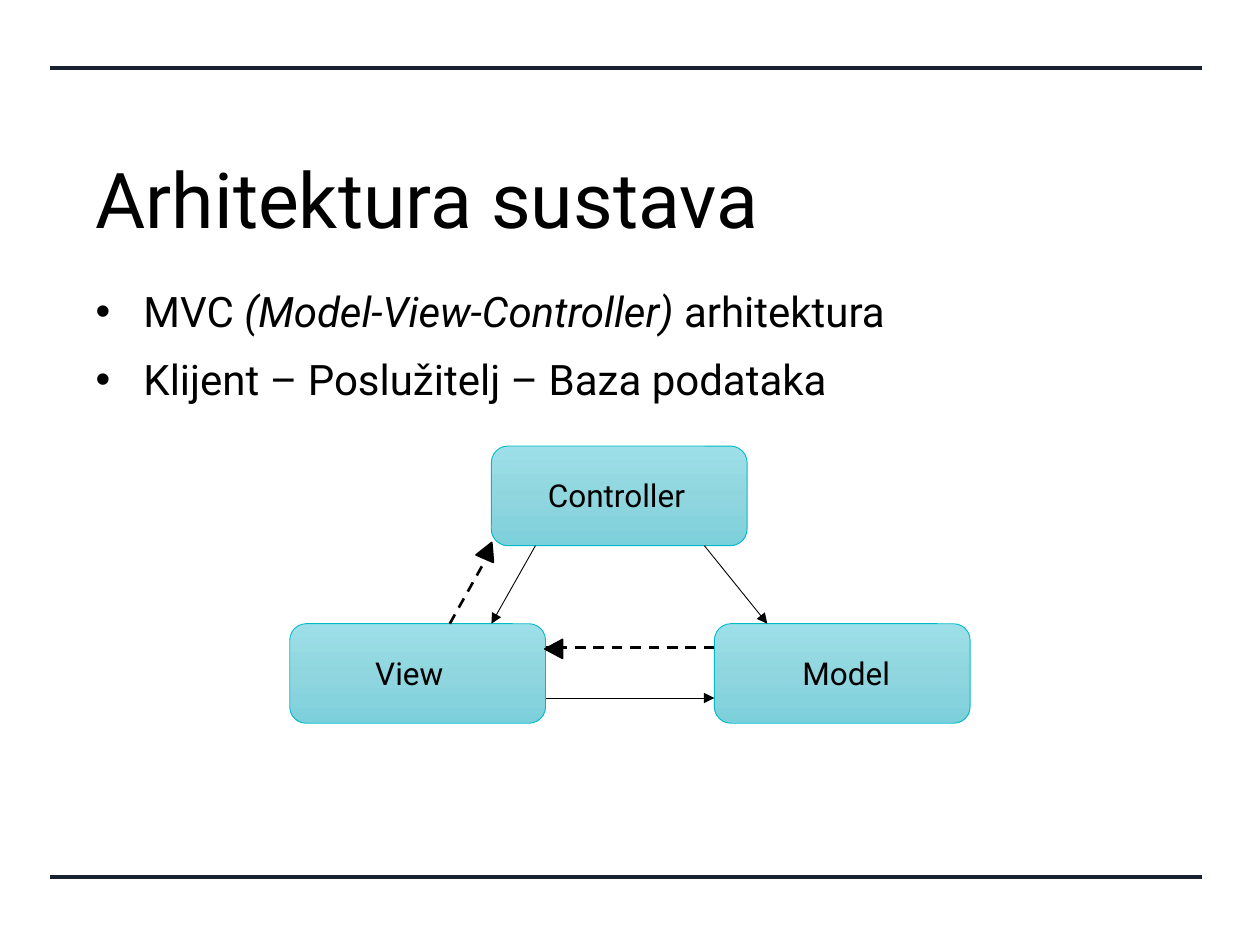
from copy import deepcopy
from lxml.etree import SubElement
from pptx import Presentation
from pptx.dml.color import RGBColor
from pptx.enum.dml import MSO_LINE
from pptx.enum.shapes import MSO_CONNECTOR, MSO_SHAPE
from pptx.enum.text import MSO_ANCHOR, PP_ALIGN
from pptx.oxml.ns import qn
from pptx.util import Inches, Pt

BLACK = RGBColor(0x00, 0x00, 0x00)
NAVY = RGBColor(0x18, 0x22, 0x30)
TEAL = RGBColor(0x00, 0xBA, 0xC8)
SHADES = [
    RGBColor(0x9D, 0xDF, 0xE8),
    RGBColor(0x90, 0xD6, 0xDF),
    RGBColor(0x7C, 0xD0, 0xDB),
]
FONT = "Roboto"
BOX_W, BOX_H = 2.03, 0.79
TOP_Y, LOW_Y = 3.54, 4.95
VIEW_X, CTRL_X, MODEL_X = 2.3, 3.9, 5.67


def write(para, text, size=18, italic=False):
    run = para.add_run()
    run.text = text
    font = run.font
    font.name = FONT
    font.size = Pt(size)
    font.italic = italic
    font.color.rgb = BLACK


def add_title(slide, text):
    title = slide.shapes.title
    title.left, title.top = Inches(0.66), Inches(1.07)
    title.width, title.height = Inches(8.69), Inches(1)
    title.text_frame.vertical_anchor = MSO_ANCHOR.MIDDLE
    para = title.text_frame.paragraphs[0]
    para.alignment = PP_ALIGN.LEFT
    write(para, text, size=44)


def add_text(slide, x, y, w, h):
    box = slide.shapes.add_textbox(Inches(x), Inches(y), Inches(w), Inches(h))
    box.text_frame.word_wrap = True
    return box.text_frame


def add_list(slide, items):
    frame = add_text(slide, 0.66, 2.22, 8.69, 4.21)
    for i, runs in enumerate(items):
        para = frame.add_paragraph() if i else frame.paragraphs[0]
        para.space_before = Pt(10)
        props = para._p.get_or_add_pPr()
        props.set("marL", str(Inches(0.38)))
        props.set("indent", str(-Inches(0.38)))
        SubElement(props, qn("a:buFont"), typeface="Arial")
        SubElement(props, qn("a:buChar"), char="•")
        for text, italic in runs:
            write(para, text, size=24, italic=italic)


def add_shape(slide, kind, x, y, w, h, color, width):
    shape = slide.shapes.add_shape(
        kind, Inches(x), Inches(y), Inches(w), Inches(h))
    shape.shadow.inherit = False
    shape.line.color.rgb = color
    shape.line.width = Pt(width)
    return shape


def add_box(slide, x, y):
    box = add_shape(
        slide, MSO_SHAPE.ROUNDED_RECTANGLE, x, y, BOX_W, BOX_H, TEAL, 0.5)
    fill = box.fill
    fill.gradient()
    fill.gradient_angle = 270
    first = box._element.spPr.find(".//" + qn("a:gs"))
    first.addnext(deepcopy(first))
    for i, (stop, shade) in enumerate(zip(fill.gradient_stops, SHADES)):
        stop.position = i / 2
        stop.color.rgb = shade


def add_line(slide, start, end, color=BLACK, width=0.5, dash=False, head=False):
    line = slide.shapes.add_connector(
        MSO_CONNECTOR.STRAIGHT, *map(Inches, start + end))
    line.line.color.rgb = color
    line.line.width = Pt(width)
    if dash:
        line.line.dash_style = MSO_LINE.DASH
    if head:
        SubElement(line.line._get_or_add_ln(), qn("a:tailEnd"), type="triangle")
    SubElement(line._element.spPr, qn("a:effectLst"))


def add_tip(slide, x, y, turn):
    tip = add_shape(
        slide, MSO_SHAPE.ISOSCELES_TRIANGLE, x, y, 0.15, 0.14, BLACK, 1)
    tip.fill.solid()
    tip.fill.fore_color.rgb = BLACK
    tip.rotation = turn


def main():
    deck = Presentation()
    deck.slide_width, deck.slide_height = Inches(10), Inches(7.5)
    slide = deck.slides.add_slide(deck.slide_layouts[5])

    for y in (0.54, 6.96):
        add_line(slide, (0.4, y), (9.54, y), color=NAVY, width=2.25)
    add_title(slide, "Arhitektura sustava")
    add_list(slide, [
        [("MVC ", False), ("(Model-View-Controller) ", True),
         ("arhitektura", False)],
        [("Klijent – Poslužitelj – Baza podataka", False)],
    ])

    for x, y in ((CTRL_X, TOP_Y), (VIEW_X, LOW_Y), (MODEL_X, LOW_Y)):
        add_box(slide, x, y)
    for name, x, y, w in (
        ("Controller", 4.25, TOP_Y, 1.33),
        ("Model", 6.27, LOW_Y, 1.41),
        ("View", 2.88, LOW_Y, 1.37),
    ):
        frame = add_text(slide, x, y + 0.19, w, 0.4)
        write(frame.paragraphs[0], name)

    base = TOP_Y + BOX_H
    side = VIEW_X + BOX_W
    for start, end in (
        ((4.25, base), (CTRL_X, LOW_Y)),
        ((5.59, base), (6.09, LOW_Y)),
        ((side, 5.54), (MODEL_X, 5.54)),
    ):
        add_line(slide, start, end, head=True)
    for start, end in (
        ((MODEL_X, 5.14), (side, 5.14)),
        ((3.57, LOW_Y), (CTRL_X, 4.36)),
    ):
        add_line(slide, start, end, width=1.5, dash=True)
    add_tip(slide, 3.8, 4.3, 23.5)
    add_tip(slide, 4.32, 5.08, 270)

    deck.save("out.pptx")


if __name__ == "__main__":
    main()
